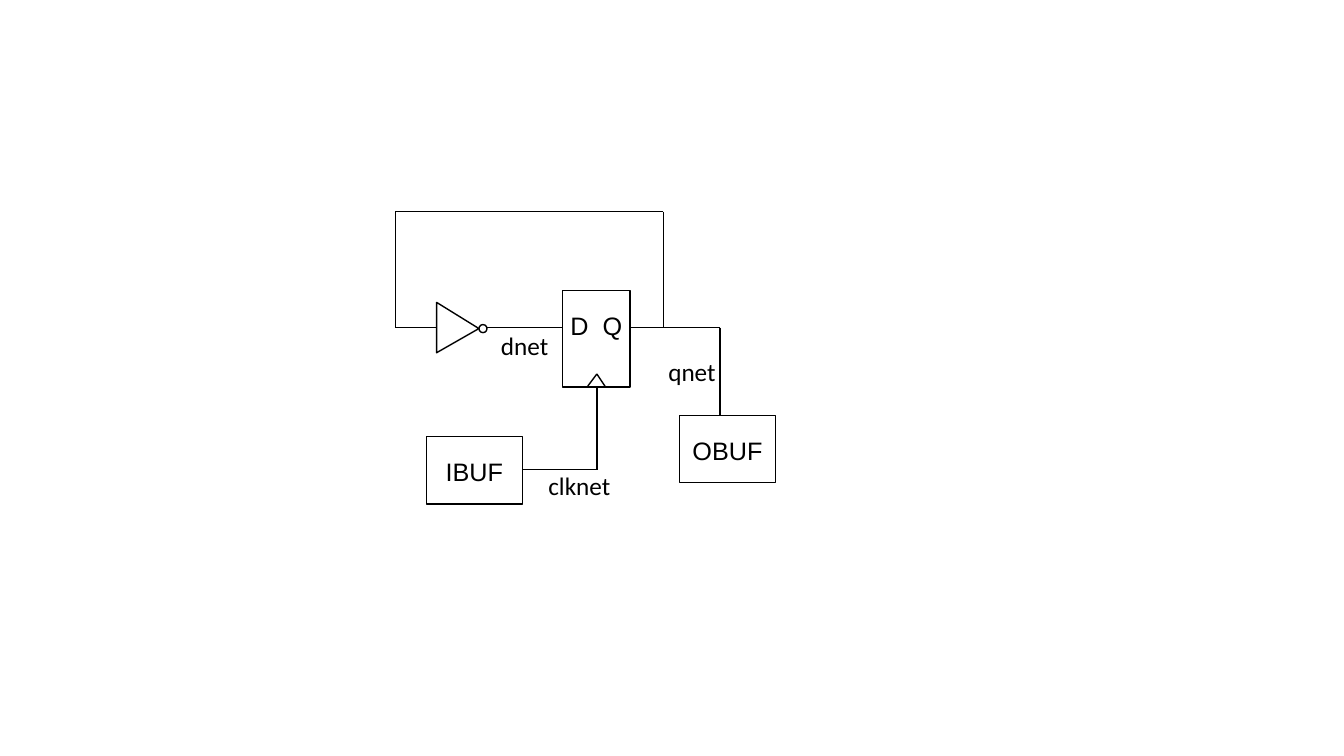
from itertools import pairwise

from lxml.etree import SubElement
from pptx import Presentation
from pptx.dml.color import RGBColor
from pptx.enum.shapes import MSO_CONNECTOR, MSO_SHAPE
from pptx.enum.text import MSO_ANCHOR, PP_ALIGN
from pptx.oxml.ns import qn
from pptx.util import Inches, Pt


def paint(color_format, color):
    """Set a fill's or font's solid colour from a hex string."""
    color_format.rgb = RGBColor.from_string(color)


def write(frame, words, font_name):
    """Put one unwrapped line of 18 pt black text in a text frame."""
    frame.text = words
    frame.word_wrap = False
    font = frame.paragraphs[0].runs[0].font
    font.name, font.size = font_name, Pt(18)
    paint(font.color, "000000")


deck = Presentation()
deck.slide_width, deck.slide_height = Inches(13.33), Inches(7.5)
shapes = deck.slides.add_slide(deck.slide_layouts[6]).shapes

# Inverter: triangle and bubble
pen = shapes.build_freeform(Inches(4.33), Inches(3))
pen.add_line_segments([(Inches(4.33), Inches(3.5)), (Inches(4.75), Inches(3.26))], close=True)
triangle = pen.convert_to_shape()
bubble = shapes.add_shape(MSO_SHAPE.OVAL, Inches(4.75), Inches(3.22), Inches(0.08), Inches(0.08))
outlined = [triangle, bubble]
for symbol in outlined:
    symbol.fill.background()

# Flip-flop and buffers
for words, left, top, width, height in [
    ("D  Q", 5.58, 2.88, 0.67, 0.96),
    ("OBUF", 6.74, 4.12, 0.95, 0.67),
    ("IBUF", 4.23, 4.33, 0.95, 0.67),
]:
    block = shapes.add_shape(
        MSO_SHAPE.RECTANGLE, Inches(left), Inches(top), Inches(width), Inches(height))
    block.fill.solid()
    paint(block.fill.fore_color, "FFFFFF")
    write(block.text_frame, words, "Arial")
    block.text_frame.margin_top = Inches(0.2)
    block.text_frame.vertical_anchor = MSO_ANCHOR.TOP
    block.text_frame.paragraphs[0].alignment = PP_ALIGN.CENTER
    outlined.append(block)

for symbol in outlined:
    symbol.shadow.inherit = False
    symbol.line.width = Pt(1)
    paint(symbol.line.color, "000000")

# Wires, each a chain of corner points
dnet = [(4.83, 3.25), (5.58, 3.25)]
feedback = [(6.25, 3.25), (6.58, 3.25), (6.58, 2.1), (3.92, 2.1), (3.92, 3.25), (4.33, 3.25)]
qnet = [(6.58, 3.25), (7.14, 3.25), (7.14, 4.12)]
clknet = [(5.18, 4.66), (5.92, 4.66), (5.92, 3.83)]
clock_mark = [(5.83, 3.83), (5.92, 3.71), (6, 3.83)]
for wire in (dnet, feedback, qnet, clknet, clock_mark):
    for start, end in pairwise(wire):
        segment = shapes.add_connector(MSO_CONNECTOR.STRAIGHT, *map(Inches, start + end))
        segment.line.width = Pt(1)
        paint(segment.line.color, "000000")
        SubElement(segment._element.spPr, qn("a:effectLst"))

# Net labels
for words, left, top, width in [
    ("clknet", 5.34, 4.62, 0.82),
    ("qnet", 6.53, 3.49, 0.68),
    ("dnet", 4.87, 3.23, 0.68),
]:
    label = shapes.add_textbox(Inches(left), Inches(top), Inches(width), Inches(0.4))
    write(label.text_frame, words, "Calibri")

deck.save("out.pptx")
